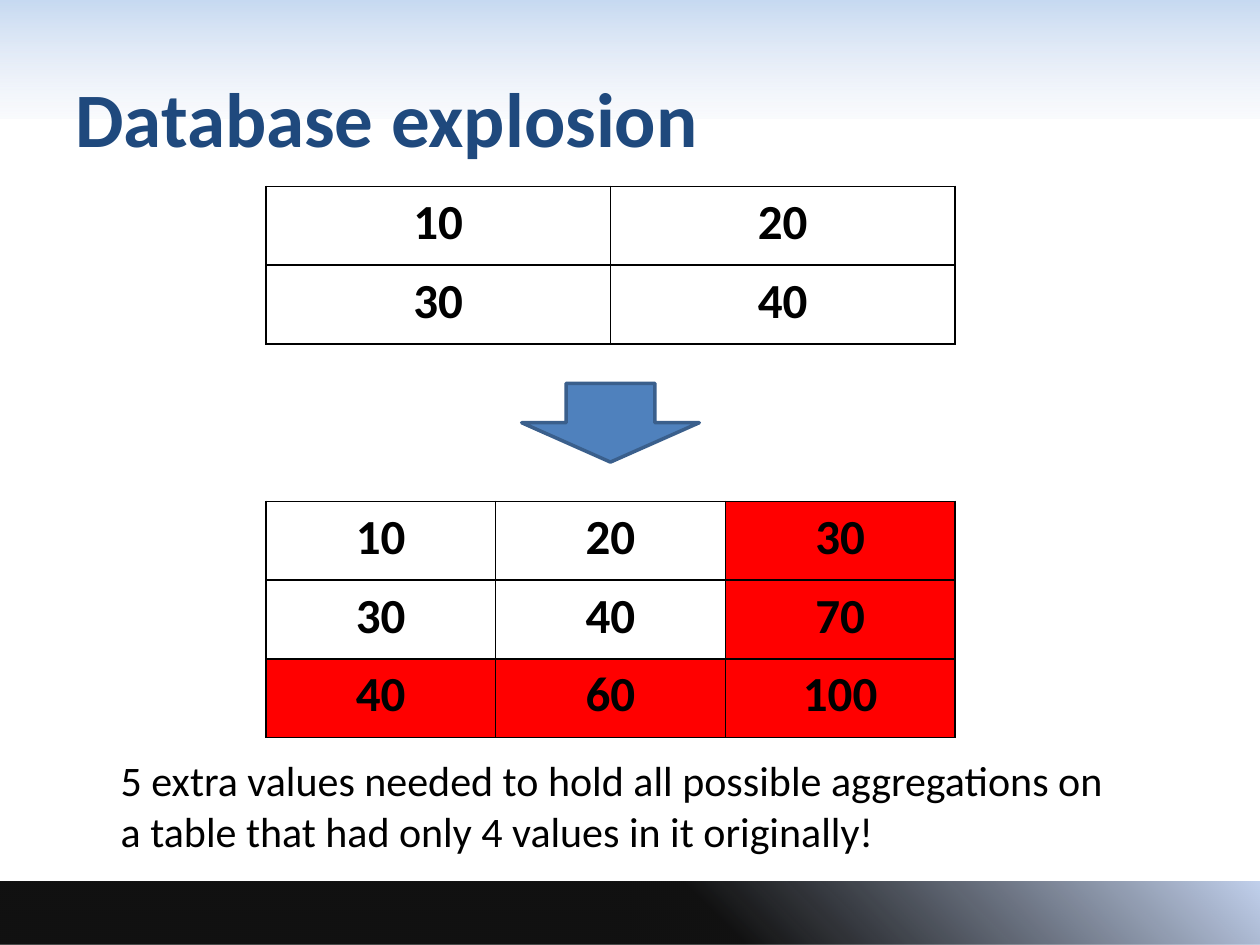
from dataclasses import dataclass

from lxml.etree import SubElement
from pptx import Presentation
from pptx.dml.color import RGBColor
from pptx.enum.shapes import MSO_SHAPE
from pptx.enum.text import MSO_ANCHOR, PP_ALIGN
from pptx.oxml.ns import qn
from pptx.slide import Slide
from pptx.util import Inches, Pt

BLACK = RGBColor(0x00, 0x00, 0x00)
RED = RGBColor(0xFF, 0x00, 0x00)
NAVY = RGBColor(0x1F, 0x49, 0x7D)
BLUE = RGBColor(0x4F, 0x81, 0xBD)
DARK_BLUE = RGBColor(0x3A, 0x5F, 0x8C)
SKY = RGBColor(0xC6, 0xD9, 0xF1)
PALE_SKY = RGBColor(0xDC, 0xE6, 0xF2)
MIST = RGBColor(0xE1, 0xE8, 0xF5)
STEEL = RGBColor(0xC2, 0xD1, 0xED)

FONT = "Calibri"
WIDTH, HEIGHT = Inches(10), Inches(7.5)
ROW = HEIGHT / 12
GRID_LEFT, GRID_WIDTH = 0.211 * WIDTH, 0.547 * WIDTH
FIRST_TOP = Inches(1.48)


@dataclass(frozen=True)
class Stop:
    position: int
    color: RGBColor
    opacity: int = 100


@dataclass(frozen=True)
class Band:
    top: float
    height: float
    angle: int
    stops: tuple[Stop, ...]


@dataclass(frozen=True)
class Grid:
    """A table of values, its top counted in rows below the first table's top."""
    row_offset: int
    values: tuple[tuple[int, ...], ...]
    has_totals: bool = False


@dataclass(frozen=True)
class Label:
    text: str
    left: float
    top: float
    width: float
    height: float
    size: int
    color: RGBColor
    bold: bool = False
    anchor: MSO_ANCHOR = MSO_ANCHOR.TOP


BANDS = (
    Band(0, 0.125, 90, (Stop(0, PALE_SKY, 41), Stop(0, SKY), Stop(100, MIST, 16))),
    Band(0.933, 0.067, 315, (Stop(56, BLACK, 93), Stop(100, STEEL), Stop(100, MIST, 16))),
)
GRIDS = (
    Grid(0, ((10, 20), (30, 40))),
    Grid(4, ((10, 20, 30), (30, 40, 70), (40, 60, 100)), has_totals=True),
)
LABELS = (
    Label("Database explosion", 0.05, 0.04, 0.9, 0.167, 44, NAVY, True, MSO_ANCHOR.MIDDLE),
    Label("5 extra values needed to hold all possible aggregations on "
          "a table that had only 4 values in it originally!",
          0.086, 0.792, 0.813, 0.121, 24, BLACK),
)


def draw_band(page: Slide, band: Band) -> None:
    shape = page.shapes.add_shape(MSO_SHAPE.RECTANGLE, 0, int(band.top * HEIGHT),
                                  WIDTH, int(band.height * HEIGHT))
    shape.shadow.inherit = False
    shape.line.fill.background()
    shape.fill.gradient()
    gradient = shape.fill._fill._gradFill
    for child in list(gradient):
        gradient.remove(child)
    stop_list = SubElement(gradient, qn("a:gsLst"))
    for stop in band.stops:
        node = SubElement(stop_list, qn("a:gs"), pos=str(stop.position * 1000))
        color = SubElement(node, qn("a:srgbClr"), val=str(stop.color))
        if stop.opacity < 100:
            SubElement(color, qn("a:alpha"), val=str(stop.opacity * 1000))
    SubElement(gradient, qn("a:lin"), ang=str(band.angle * 60000), scaled="0")


def draw_label(page: Slide, label: Label) -> None:
    box = page.shapes.add_textbox(int(label.left * WIDTH), int(label.top * HEIGHT),
                                  int(label.width * WIDTH), int(label.height * HEIGHT))
    frame = box.text_frame
    frame.word_wrap = True
    frame.vertical_anchor = label.anchor
    frame.text = label.text
    font = frame.paragraphs[0].runs[0].font
    font.name, font.size, font.bold = FONT, Pt(label.size), label.bold
    font.color.rgb = label.color


def add_borders(cell) -> None:
    """Put a thin black line on all four sides, ahead of the cell's fill."""
    properties = cell._tc.get_or_add_tcPr()
    for index, side in enumerate(("lnL", "lnR", "lnT", "lnB")):
        line = SubElement(properties, qn(f"a:{side}"), w=str(Pt(1)))
        fill = SubElement(line, qn("a:solidFill"))
        SubElement(fill, qn("a:srgbClr"), val=str(BLACK))
        properties.insert(index, line)


def draw_grid(page: Slide, grid: Grid) -> None:
    rows, columns = len(grid.values), len(grid.values[0])
    frame = page.shapes.add_table(rows, columns, int(GRID_LEFT),
                                  int(FIRST_TOP + grid.row_offset * ROW),
                                  int(GRID_WIDTH), int(rows * ROW))
    table = frame.table
    table.first_row = table.horz_banding = False
    for row, values in enumerate(grid.values):
        for column, value in enumerate(values):
            cell = table.cell(row, column)
            cell.text = str(value)
            paragraph = cell.text_frame.paragraphs[0]
            paragraph.alignment = PP_ALIGN.CENTER
            font = paragraph.runs[0].font
            font.name, font.size, font.bold = FONT, Pt(28), True
            font.color.rgb = BLACK
            if grid.has_totals and (row == rows - 1 or column == columns - 1):
                cell.fill.solid()
                cell.fill.fore_color.rgb = RED
            else:
                cell.fill.background()
            add_borders(cell)


def draw_arrow(page: Slide) -> None:
    width = Inches(1.41)
    arrow = page.shapes.add_shape(MSO_SHAPE.DOWN_ARROW,
                                  int(GRID_LEFT + (GRID_WIDTH - width) / 2),
                                  int(FIRST_TOP + 2.5 * ROW), width, int(ROW))
    arrow.shadow.inherit = False
    arrow.fill.solid()
    arrow.fill.fore_color.rgb = BLUE
    arrow.line.color.rgb = DARK_BLUE
    arrow.line.width = Pt(2)


def main() -> None:
    deck = Presentation()
    deck.slide_width, deck.slide_height = WIDTH, HEIGHT
    page = deck.slides.add_slide(deck.slide_layouts[6])
    for band in BANDS:
        draw_band(page, band)
    for grid in GRIDS:
        draw_grid(page, grid)
    draw_arrow(page)
    for label in LABELS:
        draw_label(page, label)
    deck.save("out.pptx")


if __name__ == "__main__":
    main()
